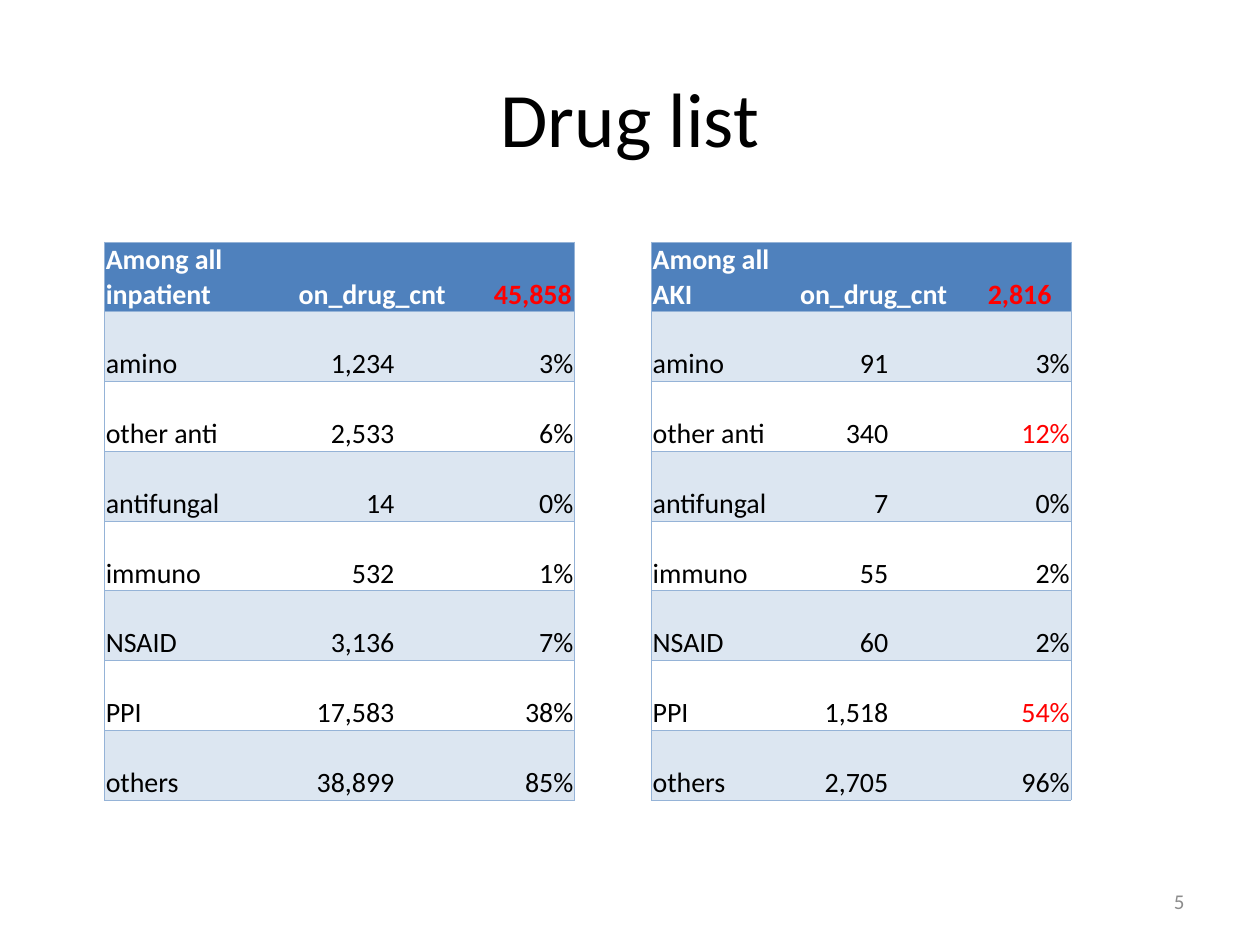
from lxml.etree import SubElement
from pptx import Presentation
from pptx.dml.color import RGBColor
from pptx.enum.text import MSO_ANCHOR, PP_ALIGN
from pptx.oxml.ns import qn
from pptx.util import Inches, Pt

BLACK = RGBColor(0x00, 0x00, 0x00)
WHITE = RGBColor(0xFF, 0xFF, 0xFF)
RED = RGBColor(0xFF, 0x00, 0x00)
GRAY = RGBColor(0x8C, 0x8C, 0x8C)
HEADER = RGBColor(0x4F, 0x81, 0xBD)
BAND = RGBColor(0xDC, 0xE6, 0xF1)
BORDER = RGBColor(0x95, 0xB3, 0xD7)

ROW_H = 4.43 / 8
TABLE_TOP = 1.92
COUNT_INDENT = 0.78
DRUGS = ["amino", "other anti", "antifungal", "immuno", "NSAID", "PPI", "others"]


def write(tf, text, size=16, color=BLACK, bold=False, align=PP_ALIGN.LEFT):
    tf.word_wrap = True
    p = tf.paragraphs[0]
    p.alignment = align
    r = p.add_run()
    r.text = text
    r.font.name = "Calibri"
    r.font.size = Pt(size)
    r.font.bold = bold
    r.font.color.rgb = color


def set_borders(cell, sides):
    """Draw the cell's lines on the given sides (of "LRTB") and clear the others."""
    tcPr = cell._tc.get_or_add_tcPr()
    for side in "LRTB":
        ln = SubElement(tcPr, qn(f"a:ln{side}"), w=str(Pt(0.5)))
        if side in sides:
            fill = SubElement(ln, qn("a:solidFill"))
            SubElement(fill, qn("a:srgbClr"), val=str(BORDER))
        else:
            SubElement(ln, qn("a:noFill"))


prs = Presentation()
prs.slide_width, prs.slide_height = Inches(10), Inches(7.5)
s = prs.slides.add_slide(prs.slide_layouts[6])

for text, box, size, color, align in [
    ("Drug list", (0.5, 0.3, 9, 1.25), 44, BLACK, PP_ALIGN.CENTER),
    ("5", (7.17, 6.95, 2.33, 0.4), 12, GRAY, PP_ALIGN.RIGHT),
]:
    tf = s.shapes.add_textbox(*map(Inches, box)).text_frame
    tf.vertical_anchor = MSO_ANCHOR.MIDDLE
    write(tf, text, size=size, color=color, align=align)

# left, column widths, group, header indent, total, counts, shares, shares in red
TABLES = [
    (0.83, [1.53, 1.55, 0.65], "Among all inpatient", 0.01, "45,858",
     ["1,234", "2,533", "14", "532", "3,136", "17,583", "38,899"],
     ["3%", "6%", "0%", "1%", "7%", "38%", "85%"], []),
    (5.17, [1.12, 1.54, 0.67], "Among all AKI", 0.06, "2,816",
     ["91", "340", "7", "55", "60", "1,518", "2,705"],
     ["3%", "12%", "0%", "2%", "2%", "54%", "96%"], ["12%", "54%"]),
]

for left, widths, group, indent, total, counts, shares, red in TABLES:
    rows = [(group, "on_drug_cnt", total), *zip(DRUGS, counts, shares)]
    table = s.shapes.add_table(
        len(rows), len(widths), Inches(left), Inches(TABLE_TOP),
        Inches(sum(widths)), Inches(ROW_H * len(rows))).table
    table.first_row = table.horz_banding = False
    for column, width in zip(table.columns, widths):
        column.width = Inches(width)

    for i, row in enumerate(rows):
        table.rows[i].height = Inches(ROW_H)
        for j, text in enumerate(row):
            header = i == 0
            cell = table.cell(i, j)
            cell.vertical_anchor = MSO_ANCHOR.BOTTOM
            cell.margin_left = Inches(indent if header and j == 1 else 0.01)
            cell.margin_right = Inches(0.01 if header or j != 1 else COUNT_INDENT)
            cell.margin_top, cell.margin_bottom = Inches(0.01), 0
            set_borders(cell, "TB" + ("L", "", "R")[j])
            if header or i % 2:
                cell.fill.solid()
                cell.fill.fore_color.rgb = HEADER if header else BAND
            else:
                cell.fill.background()

            if text in red or (header and j == 2):
                color = RED
            else:
                color = WHITE if header else BLACK
            align = PP_ALIGN.LEFT if header or j == 0 else PP_ALIGN.RIGHT
            write(cell.text_frame, text, color=color, bold=header, align=align)

prs.save("out.pptx")
